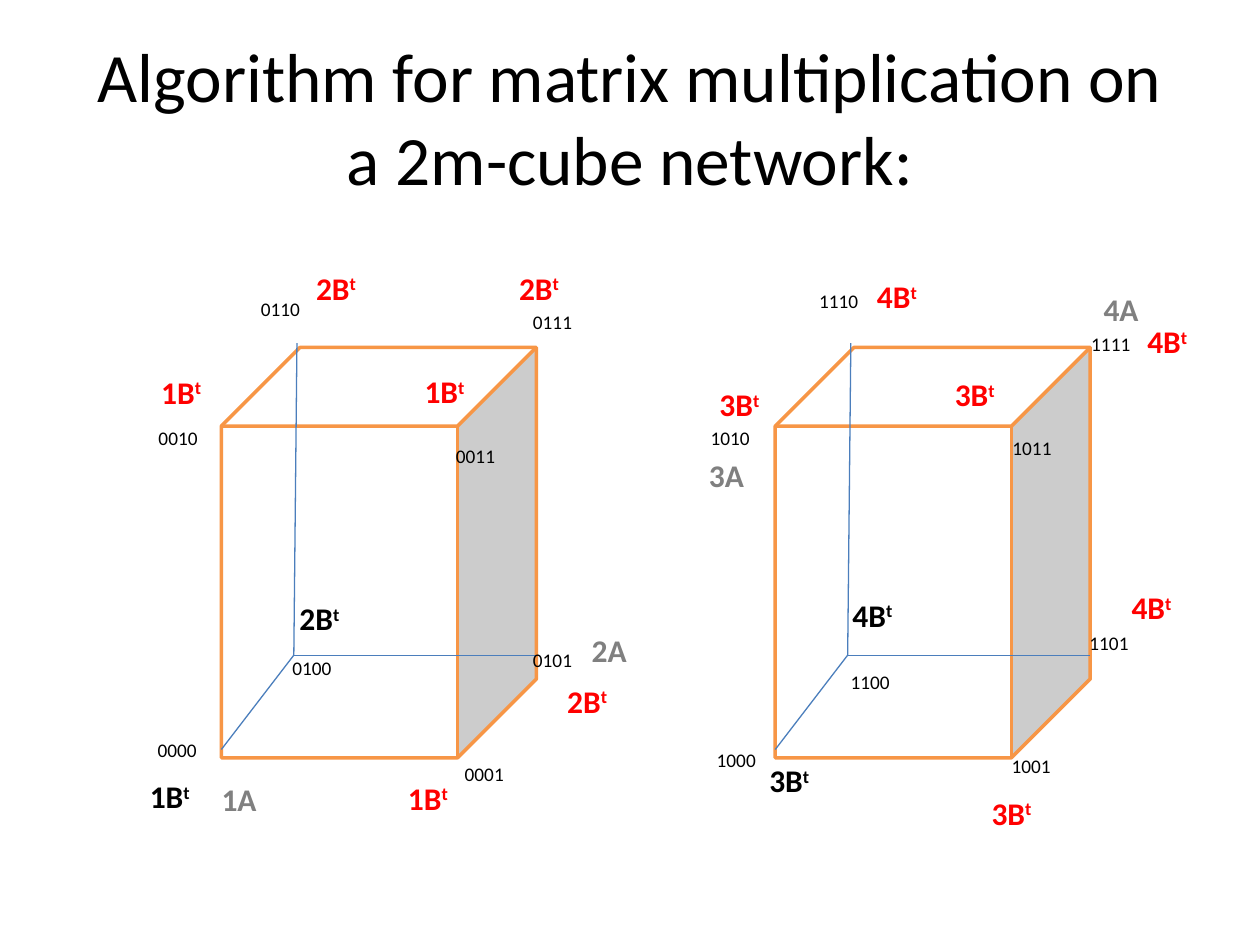
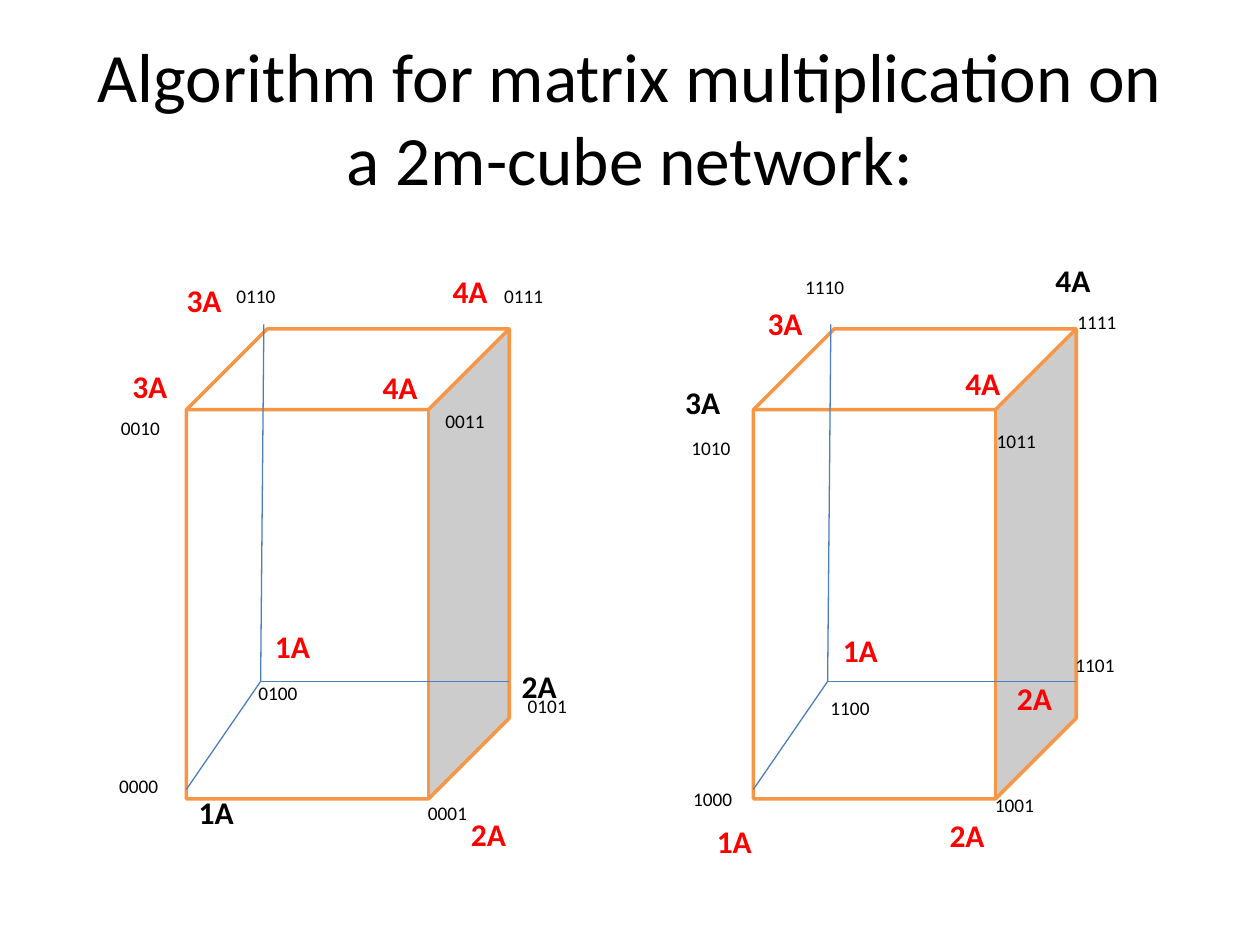
from dataclasses import dataclass

from lxml import etree
from pptx import Presentation
from pptx import util as u
from pptx.dml.color import RGBColor
from pptx.enum import shapes, text
from pptx.oxml import ns

Pt = u.Pt


@dataclass(frozen=True)
class Theme:
    font: str = "Calibri"
    black: str = "000000"
    white: str = "FFFFFF"
    red: str = "FF0000"
    gray: str = "808080"
    cube_line: str = "F79646"
    hidden_edge: str = "4B7EBC"
    title_size: float = 39.6
    code_size: float = 11
    block_size: float = 18
    cube_width: float = 2
    edge_width: float = 0.75


T = Theme()

# Content: node codes and the matrix blocks held at the nodes, in points
TITLE = "Algorithm for matrix multiplication on a 2m-cube network:"

TRANSPOSED_B = {
    "cube_lefts": (126.5, 443), "cube_top": 198.5, "cube_size": (180, 234.5),
    "code_box": (67, 35.5),
    "codes": {
        "0000": (83, 418.5), "0001": (258.5, 432),
        "0010": (83.5, 240), "0011": (253.5, 250.5),
        "0100": (160, 371.5), "0101": (297.5, 367),
        "0110": (142, 166.5), "0111": (297.5, 174),
        "1000": (402.5, 424), "1001": (571, 427.5),
        "1010": (399, 240), "1011": (571.5, 246),
        "1100": (479, 379.5), "1101": (615.5, 357),
        "1110": (461, 161.5), "1111": (616.5, 186.5),
    },
    # colour, box size, places of each block
    "blocks": [
        (T.black, (76.5, 49.5), {
            "1B": [(78.5, 440.5)], "2B": [(164, 339)],
            "3B": [(432.5, 431.5)], "4B": [(480, 337)]}),
        (T.red, (42.5, 29), {
            "1B": [(85, 209.5), (226, 441.5), (235.5, 209)],
            "2B": [(317, 386), (173.5, 150), (289.5, 150)],
            "3B": [(404, 216.5), (538.5, 211), (559.5, 450)],
            "4B": [(494, 155), (648.5, 180.5), (639.5, 332.5)]}),
        (T.gray, (34.5, 29), {
            "1A": [(119.5, 442)], "2A": [(331, 357)],
            "3A": [(398, 257)], "4A": [(623.5, 162)]}),
    ],
}

MATRIX_A = {
    "cube_lefts": (106.5, 430.5), "cube_top": 188, "cube_size": (184.5, 268.5),
    "code_box": (69, 40.5),
    "codes": {
        "0000": (61, 439), "0001": (237.5, 454.5),
        "0010": (62, 234.5), "0011": (247.5, 230.5),
        "0100": (140.5, 386), "0101": (294.5, 393),
        "0110": (128, 159), "0111": (281, 159),
        "1000": (389, 446.5), "1001": (561.5, 450),
        "1010": (388, 245.5), "1011": (562.5, 242),
        "1100": (467.5, 394.5), "1101": (607.5, 369.5),
        "1110": (453, 154), "1111": (608.5, 173.5),
    },
    "blocks": [
        (T.black, (64, 57), {
            "1A": [(106.5, 449.5)], "2A": [(291, 377.5)],
            "3A": [(384.5, 215.5)], "4A": [(596, 145.5)]}),
        (T.red, (34.5, 29), {
            "1A": [(474.5, 357), (402.5, 466), (150, 355)],
            "2A": [(262, 462), (574, 384.5), (535.5, 463)],
            "3A": [(431.5, 170), (68.5, 206), (99.5, 157)],
            "4A": [(544.5, 204.5), (211.5, 206.5), (251.5, 152)]}),
    ],
}

# Hidden edges as fractions of a cube: far corner and the ends it joins
FAR_CORNER = (0.23, 0.75)
EDGE_ENDS = [(0.24, -0.01), (1, 0.75), (0, 0.98)]


# Helpers
def apply(obj, **values):
    for name, value in values.items():
        setattr(obj, name, value)


def add_run(p, words, size, color=T.black, bold=False):
    r = p.add_run()
    r.text = words
    apply(r.font, name=T.font, size=Pt(size), bold=bold)
    r.font.color.rgb = RGBColor.from_string(color)
    return r


def set_line(line, color, width):
    line.color.rgb = RGBColor.from_string(color)
    line.width = Pt(width)


def add_label(s, at, box):
    tf = s.shapes.add_textbox(*map(Pt, at + box)).text_frame
    apply(tf, word_wrap=True, margin_right=0, auto_size=text.MSO_AUTO_SIZE.NONE)
    return tf.paragraphs[0]


def add_title(s):
    sp = s.shapes.title
    apply(sp, left=Pt(36), top=Pt(21.6), width=Pt(648), height=Pt(90))
    tf = sp.text_frame
    apply(tf, word_wrap=True, auto_size=text.MSO_AUTO_SIZE.NONE,
          vertical_anchor=text.MSO_ANCHOR.MIDDLE)
    p = tf.paragraphs[0]
    p.alignment = text.PP_ALIGN.CENTER
    add_run(p, TITLE, T.title_size)


def add_cube(s, left, top, size):
    width, height = size
    sp = s.shapes.add_shape(shapes.MSO_SHAPE.CUBE, *map(Pt, (left, top, width, height)))
    sp.shadow.inherit = False
    sp.fill.solid()
    sp.fill.fore_color.rgb = RGBColor.from_string(T.white)
    set_line(sp.line, T.cube_line, T.cube_width)

    def point(fraction):
        return Pt(left + fraction[0] * width), Pt(top + fraction[1] * height)

    for end in EDGE_ENDS:
        edge = s.shapes.add_connector(
            shapes.MSO_CONNECTOR.STRAIGHT, *point(end), *point(FAR_CORNER))
        set_line(edge.line, T.hidden_edge, T.edge_width)
        etree.SubElement(edge._element.spPr, ns.qn("a:effectLst"))


def add_block(s, name, at, box, color):
    p = add_label(s, at, box)
    add_run(p, name, T.block_size, color, True)
    if name.endswith("B"):
        r = add_run(p, "t", T.block_size, color, True)
        r.font._element.set("baseline", "30000")


def build_slide(prs, network):
    s = prs.slides.add_slide(prs.slide_layouts[5])
    add_title(s)
    for left in network["cube_lefts"]:
        add_cube(s, left, network["cube_top"], network["cube_size"])
    for code, at in network["codes"].items():
        add_run(add_label(s, at, network["code_box"]), code, T.code_size)
    for color, box, blocks in network["blocks"]:
        for name, places in blocks.items():
            for at in places:
                add_block(s, name, at, box, color)


def main():
    prs = Presentation()
    apply(prs, slide_width=Pt(720), slide_height=Pt(540))
    for network in (TRANSPOSED_B, MATRIX_A):
        build_slide(prs, network)
    prs.save("out.pptx")


if __name__ == "__main__":
    main()
